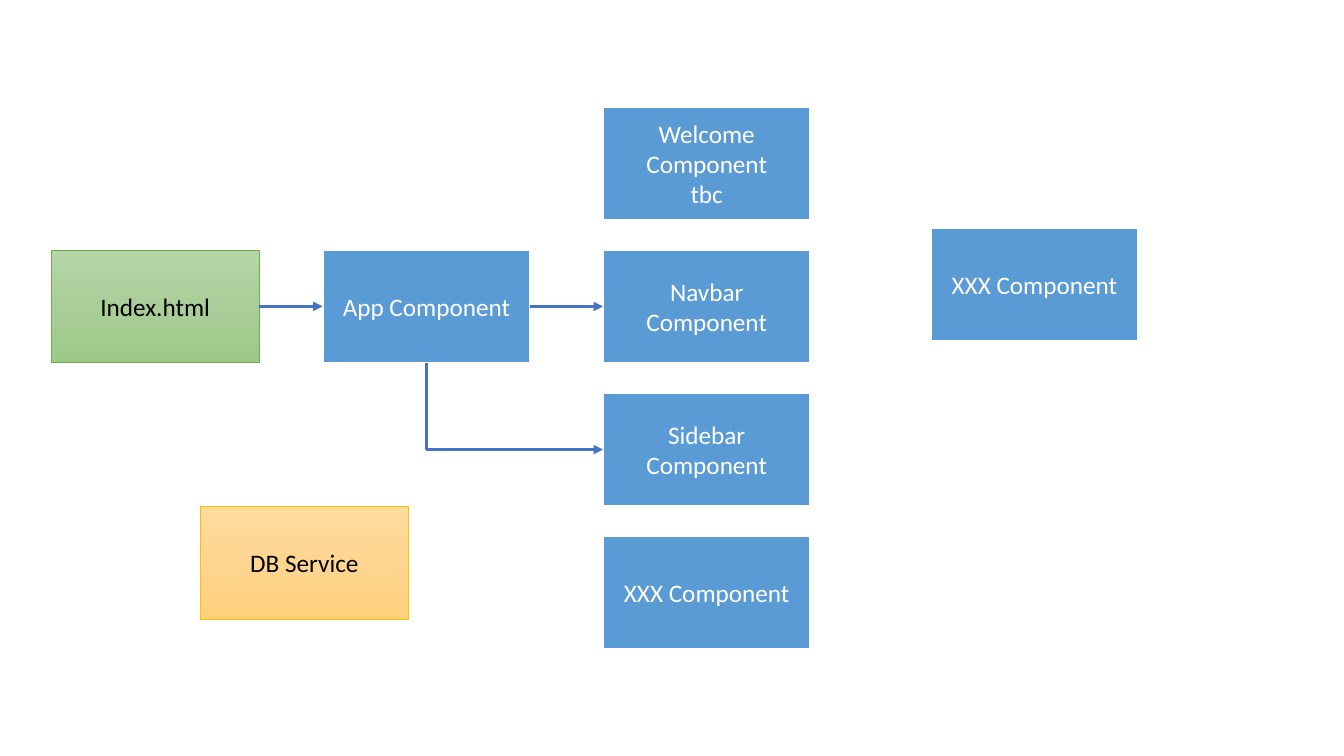
from copy import deepcopy
from dataclasses import dataclass

from lxml import etree
from pptx import Presentation
from pptx import util as u
from pptx.dml.color import RGBColor
from pptx.enum import shapes, text
from pptx.oxml.ns import qn

BOX_W, BOX_H = 2.06, 1.12
COLUMN_X, COLUMN_Y, PITCH = 5.98, 1.06, 1.42
TOP, LEFT, BOTTOM, RIGHT = range(4)


@dataclass(frozen=True)
class Style:
    fills: tuple[str, ...]
    line: str
    line_pt: float
    font: str


@dataclass(frozen=True)
class Box:
    label: str
    x: float
    y: float
    style: Style


COMPONENT = Style(("5B9BD5",), "FFFFFF", 1.5, "FFFFFF")
PAGE = Style(("B5D5A7", "AACE9A", "9CC987"), "70AD47", 0.5, "000000")
SERVICE = Style(("FFDB9E", "FFD590", "FFD07C"), "FFC000", 0.5, "000000")


def rgb(value: str) -> RGBColor:
    return RGBColor.from_string(value)


def paint(sp, colours: tuple[str, ...]) -> None:
    if len(colours) == 1:
        sp.fill.solid()
        sp.fill.fore_color.rgb = rgb(colours[0])
        return
    sp.fill.gradient()
    sp.fill.gradient_angle = 270
    stops = sp._element.spPr.find(qn("a:gradFill")).find(qn("a:gsLst"))
    stops.insert(1, deepcopy(stops[0]))
    for i, (stop, colour) in enumerate(zip(sp.fill.gradient_stops, colours)):
        stop.position = i / (len(colours) - 1)
        stop.color.rgb = rgb(colour)


def add_box(s, box: Box):
    sp = s.shapes.add_shape(
        shapes.MSO_SHAPE.RECTANGLE,
        *map(u.Inches, (box.x, box.y, BOX_W, BOX_H)),
    )
    sp.shadow.inherit = False
    paint(sp, box.style.fills)
    sp.line.color.rgb = rgb(box.style.line)
    sp.line.width = u.Pt(box.style.line_pt)
    tf = sp.text_frame
    tf.word_wrap = True
    tf.vertical_anchor = text.MSO_ANCHOR.MIDDLE
    tf.text = box.label
    for p in tf.paragraphs:
        p.alignment = text.PP_ALIGN.CENTER
        for r in p.runs:
            r.font.name = "Calibri"
            r.font.size = u.Pt(18)
            r.font.color.rgb = rgb(box.style.font)
    return sp


def add_arrow(s, start, end, side: int = RIGHT):
    bent = side == BOTTOM
    kind = shapes.MSO_CONNECTOR.ELBOW if bent else shapes.MSO_CONNECTOR.STRAIGHT
    cx = s.shapes.add_connector(kind, 0, 0, 0, 0)
    cx.begin_connect(start, side)
    cx.end_connect(end, LEFT)
    cx.line.color.rgb = rgb("4472C4")
    cx.line.width = u.Pt(2.25)
    spPr = cx._element.spPr
    etree.SubElement(spPr.find(qn("a:ln")), qn("a:tailEnd"), type="triangle")
    etree.SubElement(spPr, qn("a:effectLst"))
    if bent:
        turn_down_then_right(cx)
    return cx


def turn_down_then_right(cx) -> None:
    x, y, w, h = cx.left, cx.top, cx.width, cx.height
    cx.left, cx.top = x + (w - h) // 2, y + (h - w) // 2
    cx.width, cx.height = h, w
    spPr = cx._element.spPr
    spPr.find(qn("a:prstGeom")).set("prst", "bentConnector2")
    xfrm = spPr.find(qn("a:xfrm"))
    xfrm.set("rot", str(270 * 60000))
    xfrm.set("flipH", "1")


prs = Presentation()
prs.slide_width, prs.slide_height = u.Inches(13.33), u.Inches(7.5)
s = prs.slides.add_slide(prs.slide_layouts[6])

row_y = COLUMN_Y + PITCH
index = add_box(s, Box("Index.html", 0.51, row_y, PAGE))
app = add_box(s, Box("App Component", 3.2, row_y, COMPONENT))
add_box(s, Box("XXX Component", 9.23, 2.26, COMPONENT))
add_box(s, Box("DB Service", 1.99, 5.02, SERVICE))

column = ("Welcome Component\ntbc", "Navbar Component", "Sidebar Component", "XXX Component")
welcome, navbar, sidebar, other = [
    add_box(s, Box(label, COLUMN_X, COLUMN_Y + i * PITCH, COMPONENT))
    for i, label in enumerate(column)
]

add_arrow(s, index, app)
add_arrow(s, app, navbar)
add_arrow(s, app, sidebar, BOTTOM)

prs.save("out.pptx")
